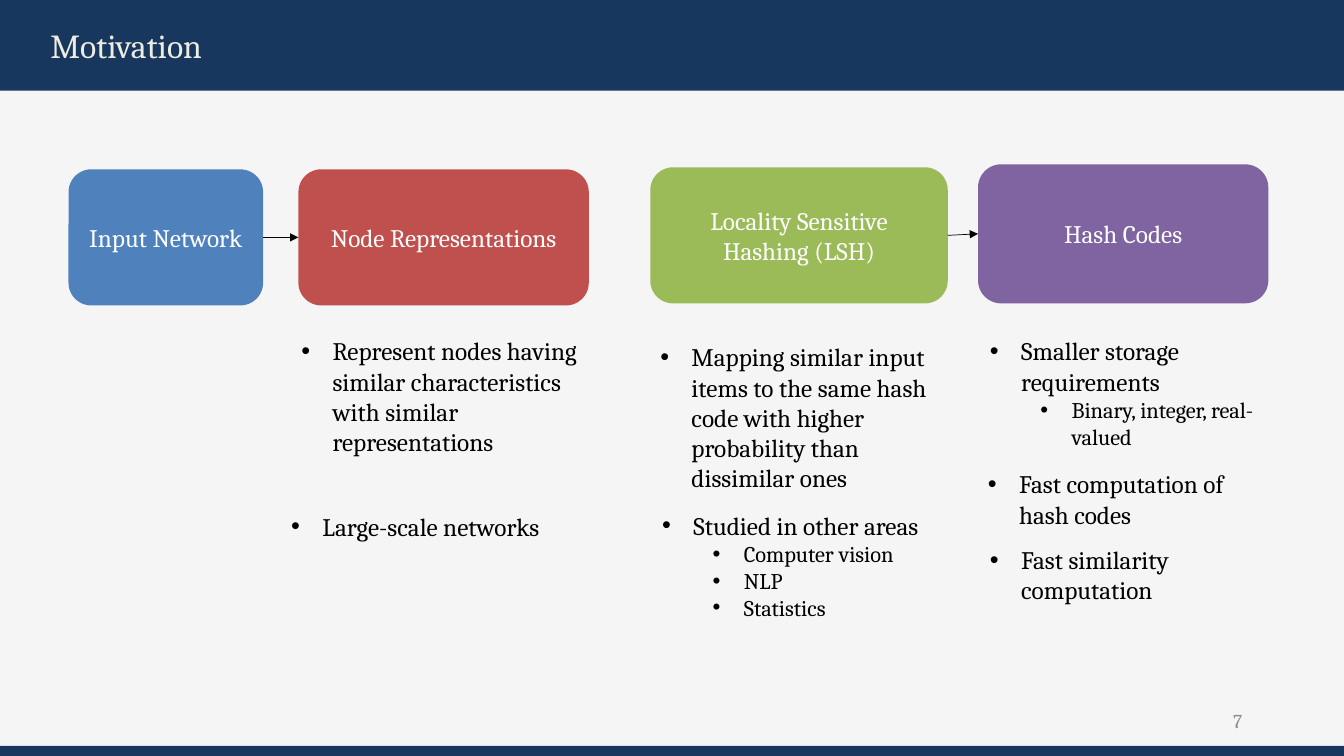
"""Builds the Motivation slide: a hashing pipeline with notes below each stage."""
from lxml import etree
from pptx import Presentation
from pptx import util as u
from pptx.dml.color import RGBColor
from pptx.enum import shapes, text
from pptx.oxml.ns import qn

PX = 9144
FONT = "Cambria"
NAVY = RGBColor(0x17, 0x37, 0x5E)
PAPER = RGBColor(0xF5, 0xF5, 0xF5)
CREAM = RGBColor(0xEE, 0xEC, 0xE1)
GRAY = RGBColor(0x8C, 0x8C, 0x8C)
BLACK = RGBColor(0x00, 0x00, 0x00)
WHITE = RGBColor(0xFF, 0xFF, 0xFF)
BLUE = RGBColor(0x4F, 0x81, 0xBD)
RED = RGBColor(0xC0, 0x50, 0x4D)
GREEN = RGBColor(0x9B, 0xBB, 0x59)
PURPLE = RGBColor(0x80, 0x64, 0xA2)

RECTANGLE = shapes.MSO_SHAPE.RECTANGLE
ROUNDED = shapes.MSO_SHAPE.ROUNDED_RECTANGLE
LEFT, CENTER, RIGHT = text.PP_ALIGN.LEFT, text.PP_ALIGN.CENTER, text.PP_ALIGN.RIGHT
RIGHT_SIDE, LEFT_SIDE = 3, 1


def px(*lengths):
    """Turn pixel lengths into EMU."""
    return [u.Emu(length * PX) for length in lengths]


def write(paragraph, content, size=18, color=BLACK, align=LEFT):
    """Add formatted text to a paragraph."""
    paragraph.alignment = align
    run = paragraph.add_run()
    run.text = content
    run.font.name = FONT
    run.font.size = u.Pt(size)
    run.font.color.rgb = color


def add_bullet(paragraph, level):
    """Give a paragraph a hanging bullet for its level."""
    paragraph.level = level
    properties = paragraph._p.get_or_add_pPr()
    properties.set("marL", str((31 + 50 * level) * PX))
    properties.set("indent", str(-31 * PX))
    etree.SubElement(properties, qn("a:buFont")).set("typeface", "Arial")
    etree.SubElement(properties, qn("a:buChar")).set("char", "•")


class SlideBuilder:
    """Hold the slide and draw its kinds of elements."""

    def __init__(self, slide):
        self.slide = slide
        slide.background.fill.solid()
        slide.background.fill.fore_color.rgb = PAPER

    def block(self, box, fill, content="", kind=RECTANGLE, inset=10, **style):
        """Draw a filled shape with optional text."""
        shape = self.slide.shapes.add_shape(kind, *px(*box))
        shape.shadow.inherit = False
        shape.fill.solid()
        shape.fill.fore_color.rgb = fill
        shape.line.fill.background()
        frame = shape.text_frame
        frame.word_wrap = True
        frame.vertical_anchor = text.MSO_ANCHOR.MIDDLE
        frame.margin_left = px(inset)[0]
        if content:
            write(frame.paragraphs[0], content, **style)
        return shape

    def text_box(self, box):
        """Add a wrapping text box and return its frame."""
        frame = self.slide.shapes.add_textbox(*px(*box)).text_frame
        frame.word_wrap = True
        return frame

    def label(self, box, content, **style):
        """Write one vertically centred line."""
        frame = self.text_box(box)
        frame.vertical_anchor = text.MSO_ANCHOR.MIDDLE
        write(frame.paragraphs[0], content, **style)

    def bullets(self, box, heading, *details):
        """Write a bullet with smaller bullets nested under it."""
        frame = self.text_box(box)
        frame.auto_size = text.MSO_AUTO_SIZE.SHAPE_TO_FIT_TEXT
        add_bullet(frame.paragraphs[0], 0)
        write(frame.paragraphs[0], heading)
        for detail in details:
            paragraph = frame.add_paragraph()
            add_bullet(paragraph, 1)
            write(paragraph, detail, size=16)

    def arrow(self, source, target):
        """Join two stages with an arrow from left to right."""
        line = self.slide.shapes.add_connector(shapes.MSO_CONNECTOR.STRAIGHT, 0, 0, 0, 0)
        line.begin_connect(source, RIGHT_SIDE)
        line.end_connect(target, LEFT_SIDE)
        line.line.color.rgb = BLACK
        line.line.width = u.Pt(0.5)
        etree.SubElement(line.line._get_or_add_ln(), qn("a:tailEnd")).set("type", "triangle")
        etree.SubElement(line._element.spPr, qn("a:effectLst"))


def main():
    """Build and save the slide."""
    presentation = Presentation()
    presentation.slide_width, presentation.slide_height = u.Inches(13.33), u.Inches(7.5)
    builder = SlideBuilder(presentation.slides.add_slide(presentation.slide_layouts[6]))

    builder.block((0, 0, 1333, 90), NAVY, "Motivation", inset=50, size=24, color=CREAM)
    builder.block((0, 740, 1333, 10), NAVY)
    builder.label((942, 695, 300, 40), "7", size=14, color=GRAY, align=RIGHT)

    stages = [
        ((68, 168, 193, 135), BLUE, "Input Network"),
        ((296, 168, 288, 135), RED, "Node Representations"),
        ((645, 166, 295, 135), GREEN, "Locality Sensitive Hashing (LSH)"),
        ((970, 163, 288, 138), PURPLE, "Hash Codes"),
    ]
    network, nodes, hashing, codes = [
        builder.block(*stage, kind=ROUNDED, color=WHITE, align=CENTER) for stage in stages
    ]
    builder.arrow(network, nodes)
    builder.arrow(hashing, codes)

    notes = [
        ((289, 328, 316, 131),
         "Represent nodes having similar characteristics with similar representations"),
        ((279, 502, 288, 40), "Large-scale networks"),
        ((645, 334, 295, 162),
         "Mapping similar input items to the same hash code with higher probability "
         "than dissimilar ones"),
        ((647, 501, 300, 121), "Studied in other areas",
         "Computer vision", "NLP", "Statistics"),
        ((972, 328, 288, 125), "Smaller storage requirements",
         "Binary, integer, real-valued"),
        ((970, 460, 306, 71), "Fast computation of hash codes"),
        ((972, 535, 306, 71), "Fast similarity computation"),
    ]
    for note in notes:
        builder.bullets(*note)

    presentation.save("out.pptx")


if __name__ == "__main__":
    main()
